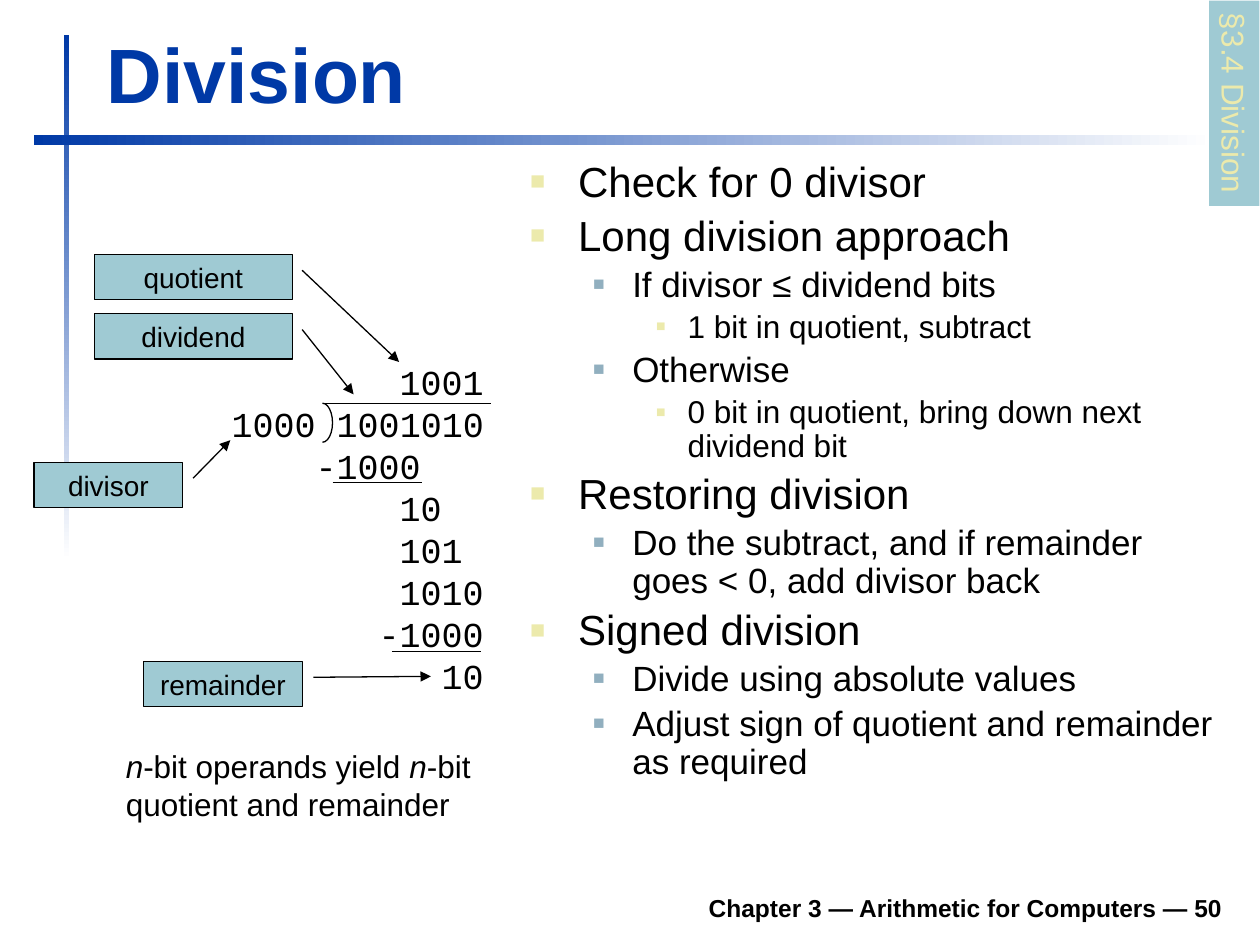
from pptx import Presentation
from pptx.dml.color import RGBColor
from pptx.enum.shapes import MSO_CONNECTOR, MSO_SHAPE
from pptx.enum.text import MSO_ANCHOR, PP_ALIGN
from pptx.oxml.ns import qn
from pptx.util import Inches, Pt
from lxml import etree

RECT, ARC, CALLOUT = MSO_SHAPE.RECTANGLE, MSO_SHAPE.ARC, MSO_SHAPE.LINE_CALLOUT_1
STRAIGHT = MSO_CONNECTOR.STRAIGHT
TOP, BOTTOM = MSO_ANCHOR.TOP, MSO_ANCHOR.BOTTOM
LEFT, CENTER, RIGHT = PP_ALIGN.LEFT, PP_ALIGN.CENTER, PP_ALIGN.RIGHT
BLACK, BLUE, TEAL, YELLOW = "000000", "0039A6", "9FCAD3", "ECEAAC"

BARS = [((0.51, 0.28, 0.04, 4.17), 270), ((0.27, 1.07, 9.37, 0.08), 0)]
POINTS = [
    (0, "Check for 0 divisor"),
    (0, "Long division approach"),
    (1, "If divisor ≤ dividend bits"),
    (2, "1 bit in quotient, subtract"),
    (1, "Otherwise"),
    (2, "0 bit in quotient, bring down next dividend bit"),
    (0, "Restoring division"),
    (1, "Do the subtract, and if remainder goes < 0, add divisor back"),
    (0, "Signed division"),
    (1, "Divide using absolute values"),
    (1, "Adjust sign of quotient and remainder as required"),
]
LEVELS = [
    {"size": 24, "left": 0.38, "hang": 0.38, "color": YELLOW, "bullet": 60},
    {"size": 20, "left": 0.81, "hang": 0.31, "color": "91AFBF", "bullet": 55},
    {"size": 18, "left": 1.25, "hang": 0.25, "color": YELLOW, "bullet": 50},
]
DIVISION = [(8, "1001"), (0, "1000 1001010"), (4, "-1000"), (8, "10"),
            (8, "101"), (8, "1010"), (7, "-1000"), (10, "10")]
CHAR_WIDTH = 1 / 6
RULES = [(2.56, 3.9, 3.2), (2.64, 3.35, 3.83), (3.11, 3.82, 5.17)]
CALLOUTS = [
    ("quotient", 0.75, 2.02, 1.57, (0.35, 1.05, 2.37, 1.54)),
    ("dividend", 0.75, 2.49, 1.57, (0.35, 1.05, 1.78, 1.31)),
    ("remainder", 1.14, 5.25, 1.26, (0.35, 1.07, 0.33, 1.81)),
    ("divisor", 0.27, 3.67, 1.18, (0.35, 1.07, -0.49, 1.32)),
]
CAPTION = [[("n", True), ("-bit operands yield ", False), ("n", True), ("-bit", False)],
           [("quotient and remainder", False)]]


def rgb(value):
    return RGBColor.from_string(value)


def add_run(p, text, size, color=BLACK, name="Arial", **fmt):
    r = p.add_run()
    r.text = text
    for key, value in {"size": Pt(size), "name": name, **fmt}.items():
        setattr(r.font, key, value)
    r.font.color.rgb = rgb(color)


def set_frame(s, anchor=TOP, wrap=True):
    tf = s.text_frame
    tf.word_wrap = wrap
    tf.vertical_anchor = anchor
    return tf


def add_text(s, box, anchor=TOP, wrap=True):
    return set_frame(s.shapes.add_textbox(*map(Inches, box)), anchor, wrap)


def add_shape(s, kind, box, fill=None, line=None):
    sp = s.shapes.add_shape(kind, *map(Inches, box))
    sp.shadow.inherit = False
    if fill:
        sp.fill.solid()
        sp.fill.fore_color.rgb = rgb(fill)
    else:
        sp.fill.background()
    if line:
        sp.line.color.rgb = rgb(line)
        sp.line.width = Pt(0.75)
    else:
        sp.line.fill.background()
    return sp


def add_bar(s, box, angle):
    sp = add_shape(s, RECT, box)
    sp.fill.gradient()
    sp.fill.gradient_angle = angle
    for stop, color, pos in zip(sp.fill.gradient_stops, (BLUE, "FFFFFF"), (0, 1)):
        stop.color.rgb = rgb(color)
        stop.position = pos


def add_rule(s, x1, x2, y):
    c = s.shapes.add_connector(STRAIGHT, *map(Inches, (x1, y, x2, y)))
    c.line.color.rgb = rgb(BLACK)
    c.line.width = Pt(0.75)
    etree.SubElement(c._element.spPr, qn("a:effectLst"))


def add_callout(s, label, x, y, width, adjustments):
    sp = add_shape(s, CALLOUT, (x, y, width, 0.36), TEAL, BLACK)
    for i, value in enumerate(adjustments):
        sp.adjustments[i] = value
    etree.SubElement(sp.line._get_or_add_ln(), qn("a:tailEnd"), type="triangle")
    p = set_frame(sp).paragraphs[0]
    p.alignment = CENTER
    add_run(p, label, 16)


def add_bullet(p, left, hang, color, bullet, **_):
    pPr = p._p.get_or_add_pPr()
    pPr.set("marL", str(Inches(left)))
    pPr.set("indent", str(-Inches(hang)))
    clr = etree.SubElement(pPr, qn("a:buClr"))
    etree.SubElement(clr, qn("a:srgbClr"), val=color)
    etree.SubElement(pPr, qn("a:buSzPct"), val=str(bullet * 1000))
    etree.SubElement(pPr, qn("a:buFont"), typeface="Arial")
    etree.SubElement(pPr, qn("a:buChar"), char="■")


def next_paragraph(tf, i):
    return tf.add_paragraph() if i else tf.paragraphs[0]


def main():
    prs = Presentation()
    prs.slide_width, prs.slide_height = Inches(10), Inches(7.5)
    s = prs.slides.add_slide(prs.slide_layouts[6])

    for box, angle in BARS:
        add_bar(s, box, angle)

    p = add_text(s, (1.85, 6.98, 7.95, 0.39), BOTTOM).paragraphs[0]
    p.alignment = RIGHT
    add_run(p, "Chapter 3 — Arithmetic for Computers — 50", 14, bold=True)

    p = add_text(s, (0.75, 0.16, 9.03, 0.83), BOTTOM).paragraphs[0]
    add_run(p, "Division", 44, BLUE, bold=True)

    tf = add_text(s, (4.11, 1.23, 5.69, 5.59))
    for i, (level, text) in enumerate(POINTS):
        p = next_paragraph(tf, i)
        style = LEVELS[level]
        add_bullet(p, **style)
        p.level = level
        p.line_spacing = 0.9
        p.space_before = Pt(0.2 * style["size"] if i else 0)
        add_run(p, text, style["size"])

    tf = add_text(s, (1.74, 2.81, 2.3, 2.77))
    for i, (column, digits) in enumerate(DIVISION):
        p = next_paragraph(tf, i)
        p._p.get_or_add_pPr().set("marL", str(Inches(column * CHAR_WIDTH)))
        add_run(p, digits, 20, name="Courier New")

    for rule in RULES:
        add_rule(s, *rule)
    bracket = add_shape(s, ARC, (2.48, 3.2, 0.16, 0.31), line=BLACK)
    bracket.adjustments[0], bracket.adjustments[1] = 162, 54

    p = add_text(s, (0.9, 5.88, 2.94, 0.7), wrap=False).paragraphs[0]
    for i, line in enumerate(CAPTION):
        if i:
            p.add_line_break()
        for text, italic in line:
            add_run(p, text, 18, italic=italic)

    for callout in CALLOUTS:
        add_callout(s, *callout)

    tab = add_shape(s, RECT, (8.98, 0.62, 1.63, 0.4), TEAL)
    tab.rotation = 90
    p = set_frame(tab, wrap=False).paragraphs[0]
    p.alignment = LEFT
    add_run(p, "§3.4 Division", 18, YELLOW)

    prs.save("out.pptx")


if __name__ == "__main__":
    main()
